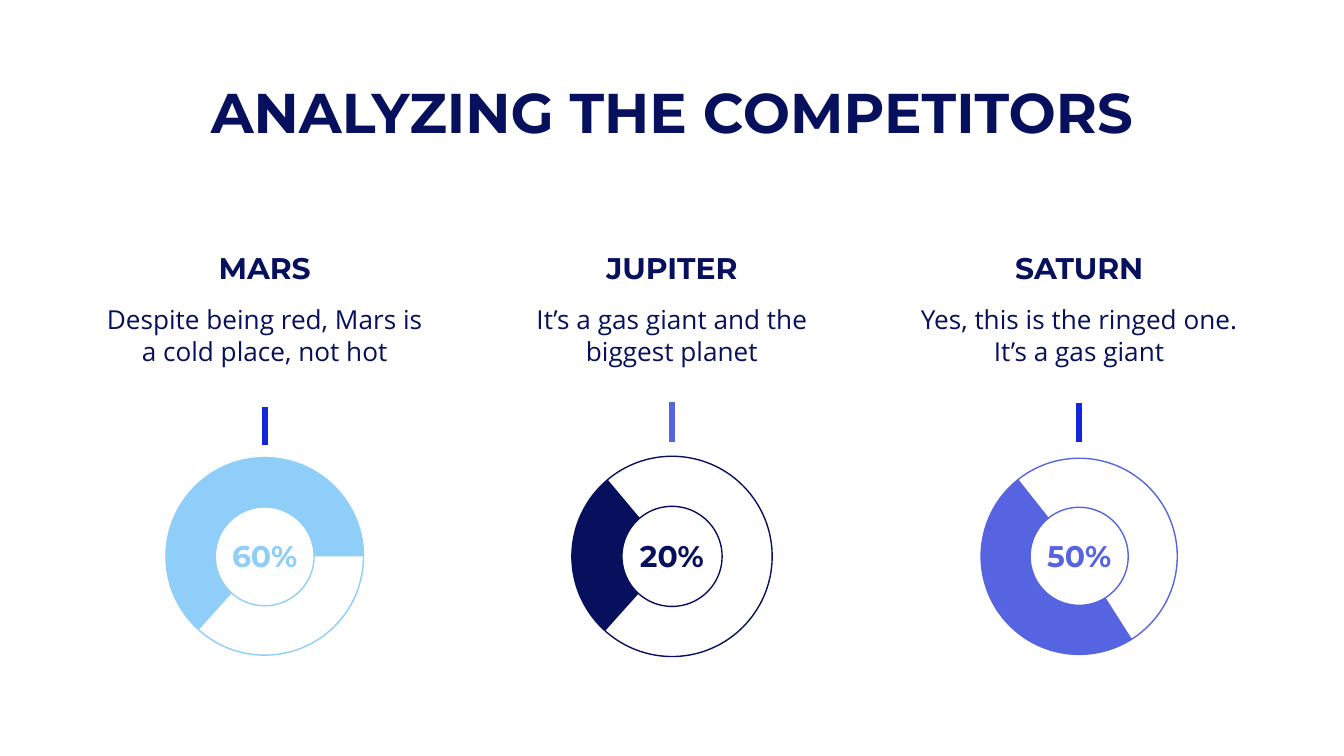
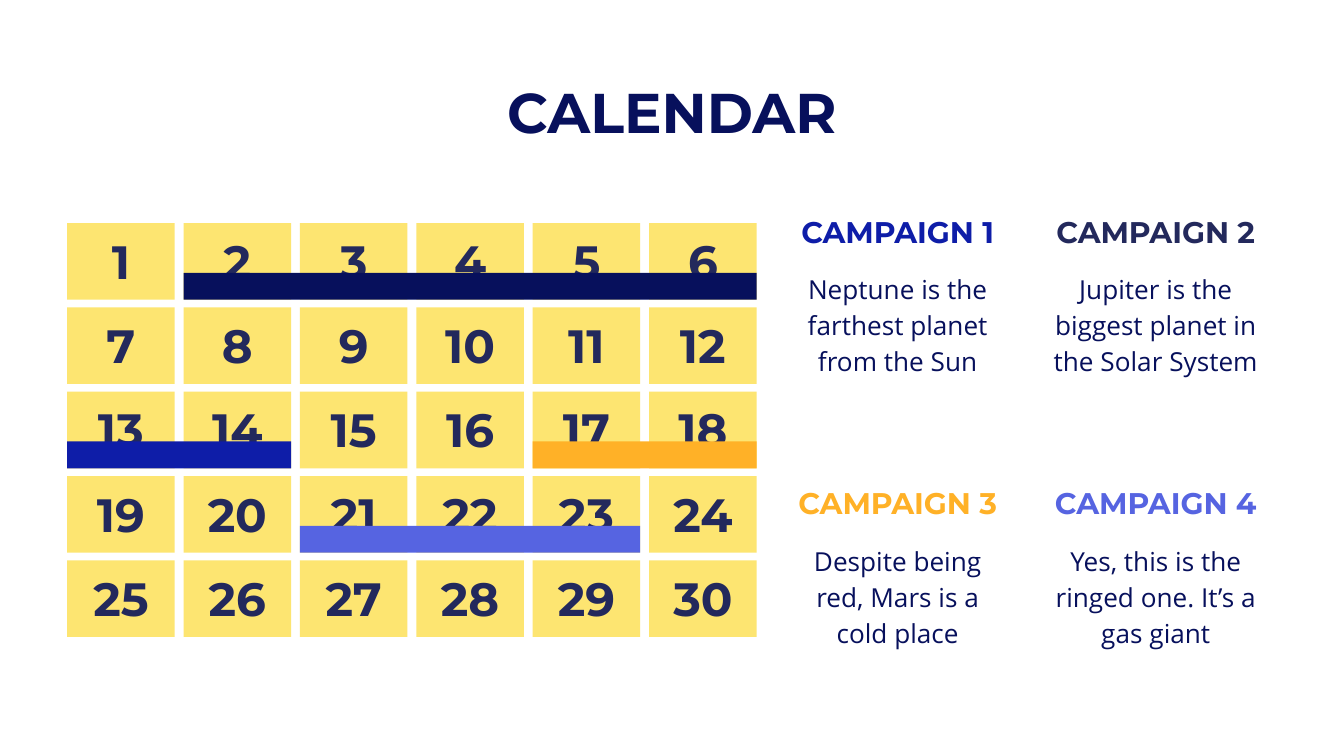
"""Build two slides: a competitor comparison and a campaign calendar."""
import pptx
import pptx.dml.color
import pptx.enum.shapes
import pptx.enum.text
import pptx.oxml.ns
import pptx.util
from lxml import etree

SHAPE = pptx.enum.shapes.MSO_SHAPE
NAVY, INK, BLUE, ROYAL = "07105C", "23295C", "1226DB", "0E1DA8"
VIOLET, SKY, ORANGE, YELLOW = "5664E1", "8FCEF9", "FFB127", "FDE571"

TITLE = {"name": "Montserrat", "size": 30, "bold": True}
HEADING = {"name": "Montserrat", "size": 16, "bold": True}
DAY = {"name": "Montserrat", "size": 25, "bold": True}
BODY = {"name": "Open Sans", "size": 14, "bold": False}

COMPETITORS = [
    {"name": "MARS", "text": "Despite being red, Mars is a cold place, not hot",
     "share": "60%", "color": SKY, "arc": (131.9, 0), "ring": 1.47,
     "tick": (BLUE, 3.03, 3.31)},
    {"name": "JUPITER", "text": "It’s a gas giant and the biggest planet",
     "share": "20%", "color": NAVY, "arc": (131.9, 230.03), "ring": 1.49,
     "tick": (VIOLET, 2.99, 3.29)},
    {"name": "SATURN", "text": "Yes, this is the ringed one. It’s a gas giant",
     "share": "50%", "color": VIOLET, "arc": (57.5, 231.68), "ring": 1.46,
     "tick": (BLUE, 3, 3.29)},
]
CAMPAIGNS = [
    ("CAMPAIGN 1", ROYAL, "Neptune is the farthest planet from the Sun"),
    ("CAMPAIGN 2", INK, "Jupiter is the biggest planet in the Solar System"),
    ("CAMPAIGN 3", ORANGE, "Despite being red, Mars is a cold place"),
    ("CAMPAIGN 4", VIOLET, "Yes, this is the ringed one. It’s a gas giant"),
]
BARS = [(VIOLET, 21, 23), (ORANGE, 17, 18), (ROYAL, 13, 14), (NAVY, 2, 6)]

DAYS, COLS, ROWS = 30, 6, 5
GRID_X, GRID_Y, GRID_W, GRID_H = 0.5, 1.66, 5.13, 3.08
CELL_W, CELL_H, BAR_H = 0.8, 0.57, 0.2
STEP_X = (GRID_W - CELL_W) / (COLS - 1)
STEP_Y = (GRID_H - CELL_H) / (ROWS - 1)


def rgb(value):
    return pptx.dml.color.RGBColor.from_string(value)


def inches(*values):
    return [pptx.util.Inches(v) for v in values]


def add_text(s, text, box, style, color=NAVY, **spacing):
    tf = s.shapes.add_textbox(*inches(*box)).text_frame
    frame = {"word_wrap": True, "vertical_anchor": pptx.enum.text.MSO_ANCHOR.TOP}
    for side in ("left", "top", "right", "bottom"):
        frame["margin_" + side] = pptx.util.Inches(0.1)
    for key, value in frame.items():
        setattr(tf, key, value)
    p = tf.paragraphs[0]
    p.alignment = pptx.enum.text.PP_ALIGN.CENTER
    for key, value in spacing.items():
        setattr(p, key, value)
    r = p.add_run()
    r.text = text
    for key, value in {**style, "size": pptx.util.Pt(style["size"])}.items():
        setattr(r.font, key, value)
    r.font.color.rgb = rgb(color)


def add_shape(s, kind, box, fill=None, line=None, adjust=()):
    sp = s.shapes.add_shape(kind, *inches(*box))
    sp.shadow.inherit = False
    for i, value in enumerate(adjust):
        sp.adjustments[i] = value
    if fill:
        sp.fill.solid()
        sp.fill.fore_color.rgb = rgb(fill)
    else:
        sp.fill.background()
    if line:
        sp.line.color.rgb = rgb(line)
        sp.line.width = pptx.util.Pt(0.75)
    else:
        sp.line.fill.background()


def add_tick(s, x, color, top, bottom):
    straight = pptx.enum.shapes.MSO_CONNECTOR.STRAIGHT
    sp = s.shapes.add_connector(straight, *inches(x, top, x, bottom))
    sp.line.color.rgb = rgb(color)
    sp.line.width = pptx.util.Pt(3)
    etree.SubElement(sp._element.spPr, pptx.oxml.ns.qn("a:effectLst"))


def add_slide(prs, title):
    s = prs.slides.add_slide(prs.slide_layouts[6])
    s.background.fill.solid()
    s.background.fill.fore_color.rgb = rgb("FFFFFF")
    add_text(s, title, (0.5, 0.48, 9, 0.63), TITLE)
    return s


def cell(day):
    row, col = divmod(day - 1, COLS)
    return GRID_X + col * STEP_X, GRID_Y + row * STEP_Y


def build_competitors(prs):
    s = add_slide(prs, "ANALYZING THE COMPETITORS")
    for i, c in enumerate(COMPETITORS):
        x = 5 + (i - 1) * 3.03
        left = x - 2.57 / 2
        add_text(s, c["name"], (left, 1.76, 2.57, 0.48), HEADING)
        add_text(s, c["text"], (left, 2.16, 2.57, 0.87), BODY, space_after=pptx.util.Pt(16))
        add_tick(s, x, *c["tick"])
        size, color = c["ring"], c["color"]
        ring = (x - size / 2, 4.14 - size / 2, size, size)
        add_shape(s, SHAPE.DONUT, ring, line=color, adjust=[0.25])
        arc = [angle * 0.6 for angle in c["arc"]] + [0.25]
        add_shape(s, SHAPE.BLOCK_ARC, ring, fill=color, adjust=arc)
        add_text(s, c["share"], (x - 0.85, 3.9, 1.7, 0.48), HEADING, color)


def build_calendar(prs):
    s = add_slide(prs, "CALENDAR")
    for day in range(1, DAYS + 1):
        x, y = cell(day)
        add_shape(s, SHAPE.RECTANGLE, (x, y, CELL_W, CELL_H), YELLOW)
        add_text(s, str(day), (x, y - 0.03, CELL_W, 0.41), DAY, INK,
                 space_after=pptx.util.Pt(16))
    for i, (name, color, text) in enumerate(CAMPAIGNS):
        row, col = divmod(i, 2)
        x, y = 5.8 + col * 1.92, 1.49 + row * 2.02
        add_text(s, text, (x, y + 0.41, 1.76, 0.87), BODY, line_spacing=1.15)
        add_text(s, name, (x, y, 1.76, 0.48), HEADING, color)
    for color, first, last in BARS:
        x, y = cell(first)
        width = cell(last)[0] + CELL_W - x
        add_shape(s, SHAPE.RECTANGLE, (x, y + CELL_H - BAR_H, width, BAR_H), color)


def main():
    prs = pptx.Presentation()
    prs.slide_width = pptx.util.Inches(10)
    prs.slide_height = prs.slide_width * 9 // 16
    build_competitors(prs)
    build_calendar(prs)
    prs.save("out.pptx")


if __name__ == "__main__":
    main()
